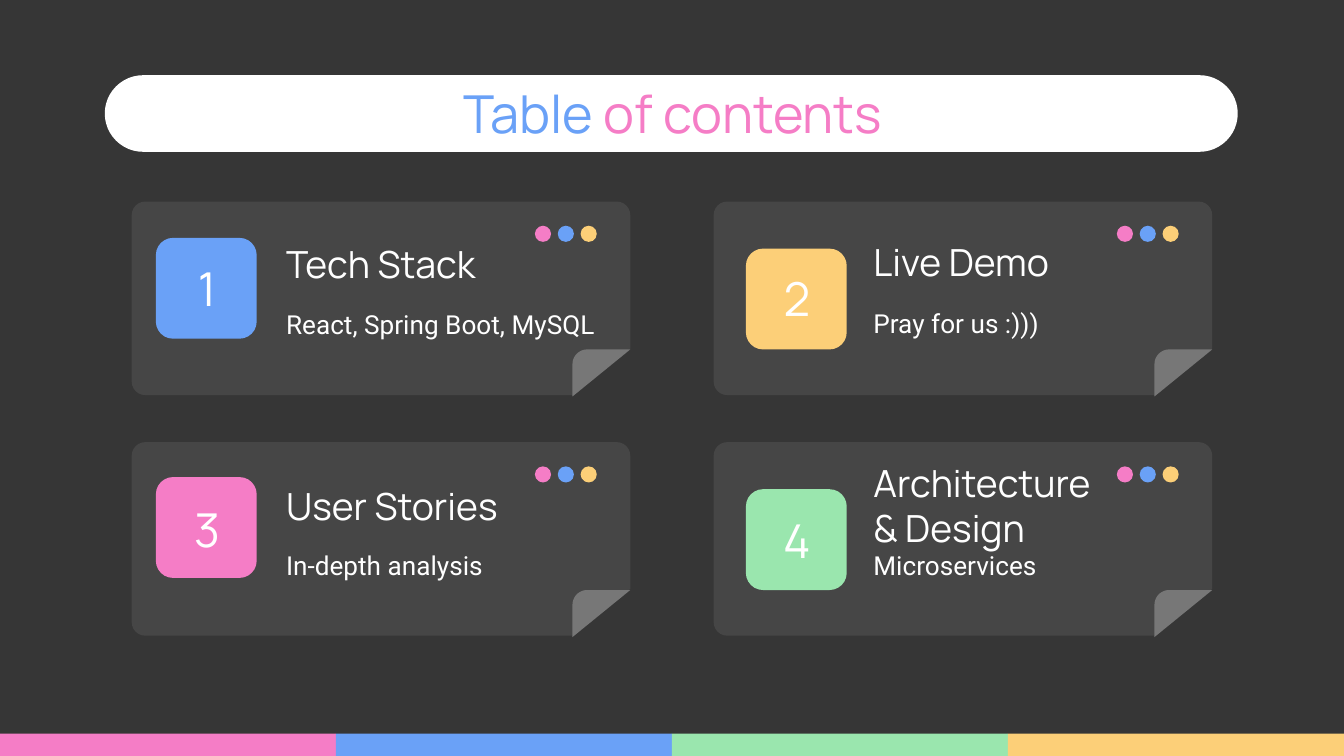
import math
from dataclasses import dataclass

from pptx import Presentation
from pptx.dml.color import RGBColor
from pptx.enum import shapes, text
from pptx.util import Inches, Pt


@dataclass(frozen=True)
class Theme:
    background: str = "363636"
    card: str = "464646"
    fold: str = "777777"
    white: str = "FFFFFF"
    pink: str = "F57DC6"
    blue: str = "6AA1F7"
    green: str = "9AE6AE"
    yellow: str = "FCCF78"
    heading_font: str = "Manrope"
    body_font: str = "Roboto"
    title_size: int = 28
    number_size: int = 25
    heading_size: int = 20
    body_size: int = 14


@dataclass(frozen=True)
class Topic:
    number: str
    heading: str
    detail: str
    color: str
    card: tuple[float, float]
    badge: tuple[float, float]
    number_top: float
    heading_at: tuple[float, float]
    detail_top: float
    heading_width: float = 2.52


THEME = Theme()
LEFT, RIGHT = 0.98, 5.31
UPPER, LOWER = 1.5, 3.29
CARD_WIDTH, CARD_HEIGHT = 3.71, 1.44
FOLD_WIDTH, FOLD_HEIGHT, FOLD_RADIUS = 0.43, 0.35, 0.11

TOPICS = [
    Topic("1", "Tech Stack", "React, Spring Boot, MySQL", THEME.blue,
          (LEFT, UPPER), (1.16, 1.77), 1.9, (2.03, 1.76), 2.15),
    Topic("2", "Live Demo", "Pray for us :)))", THEME.yellow,
          (RIGHT, UPPER), (5.55, 1.85), 1.97, (6.4, 1.75), 2.14),
    Topic("3", "User Stories", "In-depth analysis", THEME.pink,
          (LEFT, LOWER), (1.16, 3.55), 3.69, (2.03, 3.56), 3.94),
    Topic("4", "Architecture & Design", "Microservices", THEME.green,
          (RIGHT, LOWER), (5.55, 3.64), 3.77, (6.4, 3.56), 3.94, 2.01),
]


def paint(shape, color: str) -> None:
    shape.shadow.inherit = False
    shape.fill.solid()
    shape.fill.fore_color.rgb = RGBColor.from_string(color)
    shape.line.fill.background()


def add_block(slide, kind, left: float, top: float, width: float, height: float,
              color: str, rounding: float | None = None):
    block = slide.shapes.add_shape(
        kind, Inches(left), Inches(top), Inches(width), Inches(height))
    paint(block, color)
    if rounding is not None:
        block.adjustments[0] = rounding
    return block


def add_text(slide, runs: list[tuple[str, str]], left: float, top: float,
             width: float, height: float, *, size: int,
             font: str = THEME.heading_font,
             align=text.PP_ALIGN.LEFT) -> None:
    """Write one paragraph made of (wording, colour) runs."""
    box = slide.shapes.add_textbox(
        Inches(left), Inches(top), Inches(width), Inches(height))
    frame = box.text_frame
    frame.word_wrap = True
    frame.vertical_anchor = text.MSO_ANCHOR.MIDDLE
    frame.margin_left = frame.margin_right = Inches(0.1)
    frame.margin_top = frame.margin_bottom = Inches(0.1)
    paragraph = frame.paragraphs[0]
    paragraph.alignment = align
    for wording, color in runs:
        run = paragraph.add_run()
        run.text = wording
        run.font.name = font
        run.font.size = Pt(size)
        run.font.color.rgb = RGBColor.from_string(color)


def add_fold(slide, right: float, top: float) -> None:
    """Cut the card's lower right corner and fold it over."""
    left, bottom = right - FOLD_WIDTH, top + FOLD_HEIGHT
    cutout = add_block(slide, shapes.MSO_SHAPE.RIGHT_TRIANGLE,
                       left + 0.01, top, 0.42, 0.34, THEME.background)
    cutout.element.spPr.xfrm.set("flipH", "1")
    cutout.line.color.rgb = RGBColor.from_string(THEME.background)
    cutout.line.width = Pt(0.75)

    steps = 12
    angles = [math.pi / 2 * step / steps for step in range(steps + 1)]
    arc = [(left + FOLD_RADIUS * (1 - math.sin(a)),
            top + FOLD_RADIUS * (1 - math.cos(a))) for a in angles]
    outline = [(Inches(x), Inches(y))
               for x, y in arc + [(left, bottom), (right, top)]]
    builder = slide.shapes.build_freeform(*outline[0])
    builder.add_line_segments(outline[1:], close=True)
    paint(builder.convert_to_shape(), THEME.fold)


def add_card(slide, left: float, top: float) -> None:
    add_block(slide, shapes.MSO_SHAPE.ROUNDED_RECTANGLE, left, top,
              CARD_WIDTH, CARD_HEIGHT, THEME.card, 0.07)
    for index, color in enumerate((THEME.pink, THEME.blue, THEME.yellow)):
        add_block(slide, shapes.MSO_SHAPE.OVAL,
                  left + 3 + 0.17 * index, top + 0.18, 0.12, 0.12, color)
    add_fold(slide, left + CARD_WIDTH, top + 1.1)


def add_topic(slide, topic: Topic) -> None:
    add_block(slide, shapes.MSO_SHAPE.ROUNDED_RECTANGLE, *topic.badge,
              0.75, 0.75, topic.color, 0.17)
    add_text(slide, [(topic.number, THEME.white)],
             topic.badge[0] - 0.02, topic.number_top, 0.8, 0.49,
             size=THEME.number_size, align=text.PP_ALIGN.CENTER)
    add_text(slide, [(topic.heading, THEME.white)], *topic.heading_at,
             topic.heading_width, 0.4, size=THEME.heading_size)
    add_text(slide, [(topic.detail, THEME.white)],
             topic.heading_at[0], topic.detail_top, 2.52, 0.53,
             size=THEME.body_size, font=THEME.body_font)


def main() -> None:
    deck = Presentation()
    deck.slide_width = Inches(10)
    deck.slide_height = deck.slide_width * 9 // 16
    slide = deck.slides.add_slide(deck.slide_layouts[6])
    slide.background.fill.solid()
    slide.background.fill.fore_color.rgb = RGBColor.from_string(THEME.background)

    # Colour strip along the bottom
    strip = (THEME.pink, THEME.blue, THEME.green, THEME.yellow)
    for index, color in enumerate(strip):
        add_block(slide, shapes.MSO_SHAPE.RECTANGLE,
                  2.5 * index, 5.46, 2.5, 0.17, color)

    # Title pill
    add_block(slide, shapes.MSO_SHAPE.ROUNDED_RECTANGLE,
              0.78, 0.56, 8.43, 0.57, THEME.white, 0.5)
    add_text(slide, [("Table ", THEME.blue), ("of contents", THEME.pink)],
             0.79, 0.59, 8.43, 0.5, size=THEME.title_size,
             align=text.PP_ALIGN.CENTER)

    # Cards, then their contents
    for topic in TOPICS:
        add_card(slide, *topic.card)
    for topic in TOPICS:
        add_topic(slide, topic)

    deck.save("out.pptx")


if __name__ == "__main__":
    main()
